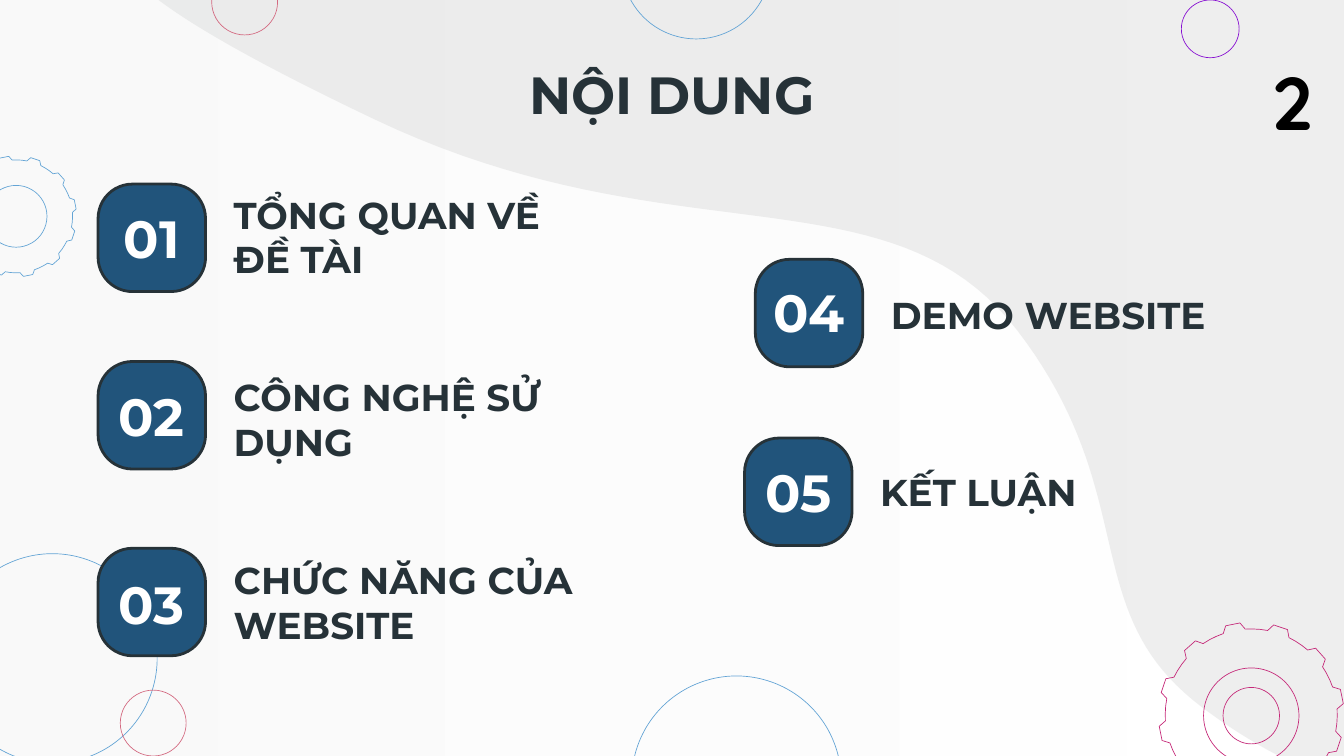
import math
import pptx
import pptx.util
import pptx.dml.color
import pptx.enum.shapes
import pptx.enum.text
import pptx.oxml
import pptx.oxml.ns

Inches = pptx.util.Inches
Pt = pptx.util.Pt
RGBColor = pptx.dml.color.RGBColor
MSO_SHAPE = pptx.enum.shapes.MSO_SHAPE
PP_ALIGN = pptx.enum.text.PP_ALIGN
MSO_ANCHOR = pptx.enum.text.MSO_ANCHOR
qn = pptx.oxml.ns.qn

WHITE = RGBColor(0xFF, 0xFF, 0xFF)
PALE = RGBColor(0xF3, 0xF3, 0xF3)
GREY = RGBColor(0xD6, 0xD7, 0xD7)
BLUE = RGBColor(0x63, 0xA4, 0xD5)
PURPLE = RGBColor(0x86, 0x0C, 0xD1)
ROSE = RGBColor(0xD3, 0x69, 0x80)
MAGENTA = RGBColor(0xC5, 0x28, 0x78)
NAVY = RGBColor(0x21, 0x54, 0x7B)
DARK = RGBColor(0x26, 0x32, 0x38)
BLACK = RGBColor(0, 0, 0)


def add_text(text, left, top, width, height, size=20, color=DARK, font="Montserrat",
             align=PP_ALIGN.LEFT, anchor=MSO_ANCHOR.MIDDLE, wrap=True, inset=0.1):
    tf = s.shapes.add_textbox(Inches(left), Inches(top), Inches(width), Inches(height)).text_frame
    tf.word_wrap = wrap
    tf.vertical_anchor = anchor
    tf.margin_left = tf.margin_right = Inches(0.1)
    tf.margin_top = tf.margin_bottom = Inches(inset)
    p = tf.paragraphs[0]
    p.alignment = align
    r = p.add_run()
    r.text = text
    r.font.size = Pt(size)
    r.font.name = font
    r.font.bold = True
    r.font.color.rgb = color


def add_outline(points, line=None):
    builder = s.shapes.build_freeform(Inches(points[0][0]), Inches(points[0][1]))
    builder.add_line_segments([(Inches(x), Inches(y)) for x, y in points[1:]])
    sp = builder.convert_to_shape()
    sp.shadow.inherit = False
    sp.fill.background()
    if line is None:
        sp.line.fill.background()
    else:
        sp.line.color.rgb = line
        sp.line.width = Pt(0.36)
    return sp


prs = pptx.Presentation()
prs.slide_width = Inches(10)
prs.slide_height = Inches(10) * 9 // 16
s = prs.slides.add_slide(prs.slide_layouts[6])
s.background.fill.solid()
s.background.fill.fore_color.rgb = WHITE

backdrop = s.shapes.add_shape(MSO_SHAPE.RECTANGLE, Inches(-0.07), Inches(-0.07), Inches(10.14), Inches(5.77))
backdrop.shadow.inherit = False
backdrop.line.fill.background()
backdrop.fill.gradient()
backdrop.fill.gradient_angle = 180
for stop, color, position in zip(backdrop.fill.gradient_stops, (WHITE, PALE), (0, 1)):
    stop.color.rgb = color
    stop.position = position

wave = [(10.28, -0.25), (10.28, 5.88), (10.13, 5.88)]
curves = [
    ((9.81, 5.78), (9.39, 5.6), (8.94, 5.26)),
    ((8, 4.55), (8.51, 3.69), (7.57, 2.46)),
    ((6.62, 1.23), (5.02, 1.95), (2.79, 0.89)),
    ((1.76, 0.4), (1.28, 0.1), (1.07, -0.09)),
]
STEPS = 40
for b, c, d in curves:
    a = wave[-1]
    for i in range(1, STEPS + 1):
        t = i / STEPS
        u = 1 - t
        wave.append(tuple(u**3 * a[k] + 3 * u * u * t * b[k] + 3 * u * t * t * c[k] + t**3 * d[k]
                          for k in (0, 1)))
wave.append((1.07, -0.25))
blob = add_outline(wave)
blob.fill.solid()
blob.fill.fore_color.rgb = GREY

for sp in (backdrop, blob):
    for clr in sp._element.spPr.iter(qn("a:srgbClr")):
        alpha = pptx.oxml.parse_xml(
            '<a:alpha xmlns:a="http://schemas.openxmlformats.org/drawingml/2006/main" val="41000"/>')
        clr.append(alpha)

circles = [
    (0.39, 4.9, 1.56, BLUE),
    (9.005, 0.215, 0.43, PURPLE),
    (1.82, 0.015, 0.49, ROSE),
    (5.18, -0.265, 1.11, BLUE),
    (5.48, 5.81, 1.56, BLUE),
    (1.14, 5.38, 0.49, ROSE),
    (0.12, 1.61, 0.46, BLUE),
    (9.31, 5.325, 0.71, MAGENTA),
    (9.31, 5.325, 0.42, MAGENTA),
]
for x, y, size, color in circles:
    sp = s.shapes.add_shape(MSO_SHAPE.OVAL, Inches(x - size / 2), Inches(y - size / 2),
                            Inches(size), Inches(size))
    sp.shadow.inherit = False
    sp.fill.background()
    sp.line.color.rgb = color
    sp.line.width = Pt(0.36)

TEETH = 12
for x, y, root, tip, color in [(0.12, 1.61, 0.42, 0.45, BLUE), (9.31, 5.32, 0.64, 0.69, MAGENTA)]:
    gear = []
    for tooth in range(TEETH):
        for offset, radius in [(4, root), (7, tip), (16, tip), (19, root), (24, root), (29, root)]:
            angle = math.radians(-offset - tooth * 360 / TEETH)
            gear.append((x + radius * math.cos(angle), y + radius * math.sin(angle)))
    add_outline(gear, color)

add_text("NỘI DUNG", 0, 0.5, 10, 0.4, size=28, align=PP_ALIGN.CENTER)

TILE = 0.8
items = [
    ("01", "TỔNG QUAN VỀ ĐỀ TÀI", 0.73, 1.37, 1.77, 1.76, 2.82),
    ("02", "CÔNG NGHỆ SỬ DỤNG", 0.73, 2.69, 3.09, 3.12, 3.07),
    ("03", "CHỨC NĂNG CỦA WEBSITE", 0.73, 4.08, 4.49, 4.48, 2.82),
    ("04", "DEMO WEBSITE", 5.62, 1.93, 2.32, 2.34, 3.24),
    ("05", "KẾT LUẬN", 5.54, 3.26, 3.66, 3.66, 3.24),
]
for number, label, left, top, number_y, label_y, width in items:
    sp = s.shapes.add_shape(MSO_SHAPE.ROUNDED_RECTANGLE, Inches(left), Inches(top), Inches(TILE), Inches(TILE))
    sp.adjustments[0] = 0.32
    sp.shadow.inherit = False
    sp.fill.solid()
    sp.fill.fore_color.rgb = NAVY
    sp.line.color.rgb = DARK
    sp.line.width = Pt(1.5)
    add_text(number, left, number_y - 0.24, TILE, 0.48, size=28, color=WHITE, align=PP_ALIGN.CENTER)
    add_text(label, left + 0.91, label_y - 0.24, width, 0.48)

add_text("2", 9.37, 0.37, 0.52, 0.77, size=40, color=BLACK, font="Quicksand",
         anchor=MSO_ANCHOR.TOP, wrap=False, inset=0.05)

prs.save("out.pptx")
